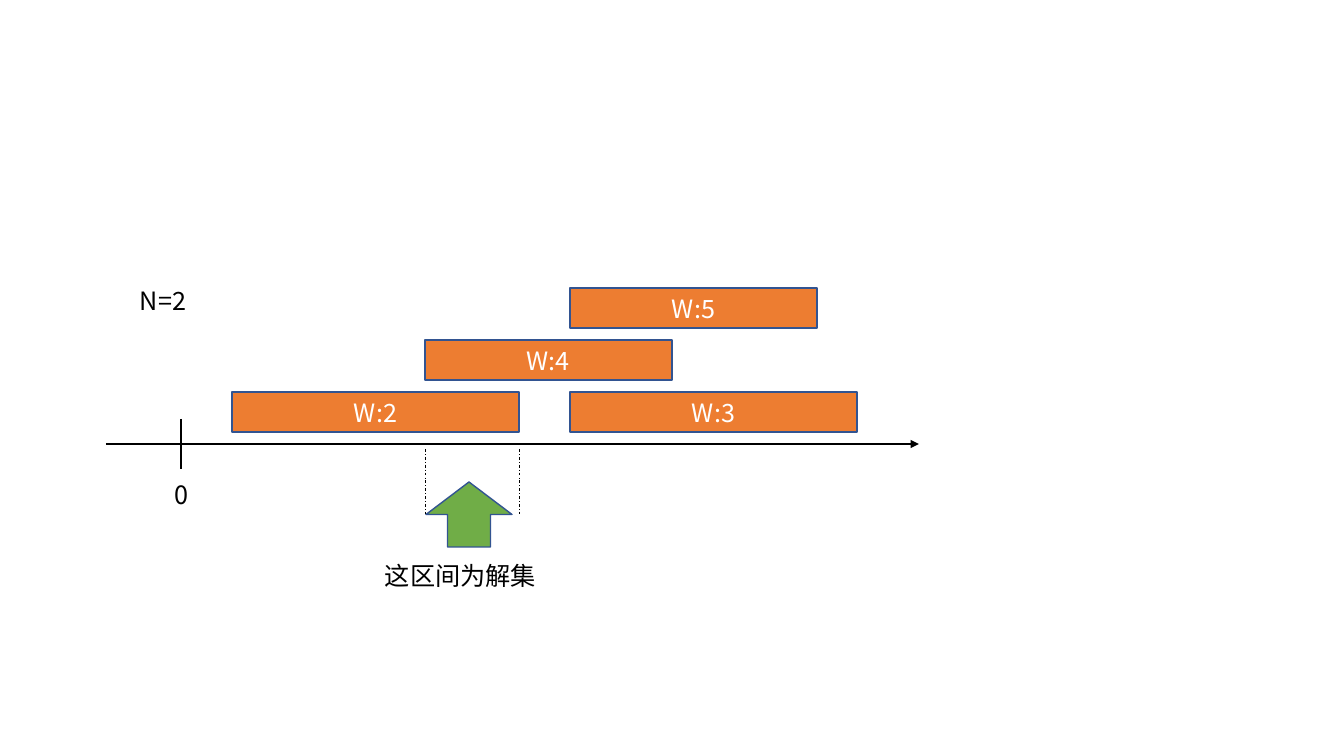
import pptx
import pptx.dml.color
import pptx.enum.dml
import pptx.enum.shapes
import pptx.enum.text
import pptx.oxml
import pptx.oxml.ns
import pptx.util

RGB = pptx.dml.color.RGBColor
SHAPES = pptx.enum.shapes.MSO_SHAPE
BLACK = RGB(0x00, 0x00, 0x00)
WHITE = RGB(0xFF, 0xFF, 0xFF)
ORANGE = RGB(0xED, 0x7D, 0x31)
GREEN = RGB(0x70, 0xAD, 0x47)
OUTLINE = RGB(0x32, 0x54, 0x91)
FONT = "Noto Sans CJK SC"
EMU_PER_PX = 914400 / 100.8

# Intervals: label, start, length, row (0 is nearest the axis)
INTERVALS = [
    ("W:2", 232, 287, 0),
    ("W:4", 425, 247, 1),
    ("W:3", 570, 287, 0),
    ("W:5", 570, 247, 2),
]
BAR_HEIGHT, FIRST_ROW_TOP, ROW_PITCH = 40, 392, 52

# Captions: text, left, top, width
CAPTIONS = [
    ("0", 165, 474, 34),
    ("N=2", 130, 280, 70),
    ("这区间为解集", 375, 555, 173),
]
CAPTION_HEIGHT = 40

AXIS_START, AXIS_END, AXIS_Y = 106, 919, 444
ORIGIN_X, TICK_HALF = 181, 25
SOLUTION_ARROW = (426, 482, 86, 65)
GUIDE_TOP, GUIDE_BOTTOM = 449, 514


def px(*lengths):
    """Turn pixel lengths into EMU."""
    return [pptx.util.Emu(round(length * EMU_PER_PX)) for length in lengths]


def add_tag(parent, name, **attributes):
    """Append an empty drawing element with the given attributes."""
    tag = pptx.oxml.parse_xml(f"<a:{name} {pptx.oxml.ns.nsdecls('a')}/>")
    for key, value in attributes.items():
        tag.set(key, value)
    parent.append(tag)


def write(frame, text, color, frame_format, align):
    """Put one line of 18 pt text into a text frame."""
    for key, value in frame_format.items():
        setattr(frame, key, value)
    paragraph = frame.paragraphs[0]
    paragraph.alignment = align
    run = paragraph.add_run()
    run.text = text
    for key, value in {"name": FONT, "size": pptx.util.Pt(18)}.items():
        setattr(run.font, key, value)
    run.font.color.rgb = color
    add_tag(run.font._element, "ea", typeface=FONT)


def add_block(slide, kind, box, fill):
    """Draw a filled shape with the common outline."""
    block = slide.shapes.add_shape(kind, *px(*box))
    block.shadow.inherit = False
    block.fill.solid()
    block.fill.fore_color.rgb = fill
    block.line.color.rgb = OUTLINE
    block.line.width = pptx.util.Pt(1)
    return block


def add_line(slide, ends, width, dash=None):
    """Draw a straight black line."""
    line = slide.shapes.add_connector(
        pptx.enum.shapes.MSO_CONNECTOR.STRAIGHT, *px(*ends))
    line.line.color.rgb = BLACK
    line.line.width = pptx.util.Pt(width)
    if dash:
        line.line.dash_style = dash
    add_tag(line._element.spPr, "effectLst")
    return line


def add_axis(slide):
    """Draw the number line and its origin tick."""
    axis = add_line(slide, (AXIS_START, AXIS_Y, AXIS_END, AXIS_Y), 1.75)
    add_tag(axis.line._get_or_add_ln(), "tailEnd", type="triangle")
    add_line(slide, (ORIGIN_X, AXIS_Y - TICK_HALF,
                     ORIGIN_X, AXIS_Y + TICK_HALF), 1.5)


def add_intervals(slide):
    """Draw the weighted intervals in rows above the axis."""
    centred = {"vertical_anchor": pptx.enum.text.MSO_ANCHOR.MIDDLE}
    for label, start, length, row in INTERVALS:
        top = FIRST_ROW_TOP - row * ROW_PITCH
        bar = add_block(slide, SHAPES.RECTANGLE,
                        (start, top, length, BAR_HEIGHT), ORANGE)
        write(bar.text_frame, label, WHITE, centred,
              pptx.enum.text.PP_ALIGN.CENTER)


def add_solution(slide):
    """Mark the overlap of the first two intervals."""
    first, second = INTERVALS[:2]
    add_block(slide, SHAPES.UP_ARROW, SOLUTION_ARROW, GREEN)
    for edge in (second[1], first[1] + first[2]):
        add_line(slide, (edge, GUIDE_TOP, edge, GUIDE_BOTTOM), 0.5,
                 pptx.enum.dml.MSO_LINE.DASH_DOT)


def add_captions(slide):
    """Write the free-standing labels."""
    fitted = {"word_wrap": False,
              "auto_size": pptx.enum.text.MSO_AUTO_SIZE.SHAPE_TO_FIT_TEXT}
    for text, left, top, width in CAPTIONS:
        caption = slide.shapes.add_textbox(
            *px(left, top, width, CAPTION_HEIGHT))
        write(caption.text_frame, text, BLACK, fitted,
              pptx.enum.text.PP_ALIGN.LEFT)


deck = pptx.Presentation()
deck.slide_width, deck.slide_height = px(1344, 756)
slide = deck.slides.add_slide(deck.slide_layouts[6])
add_axis(slide)
add_intervals(slide)
add_solution(slide)
add_captions(slide)
deck.save("out.pptx")
